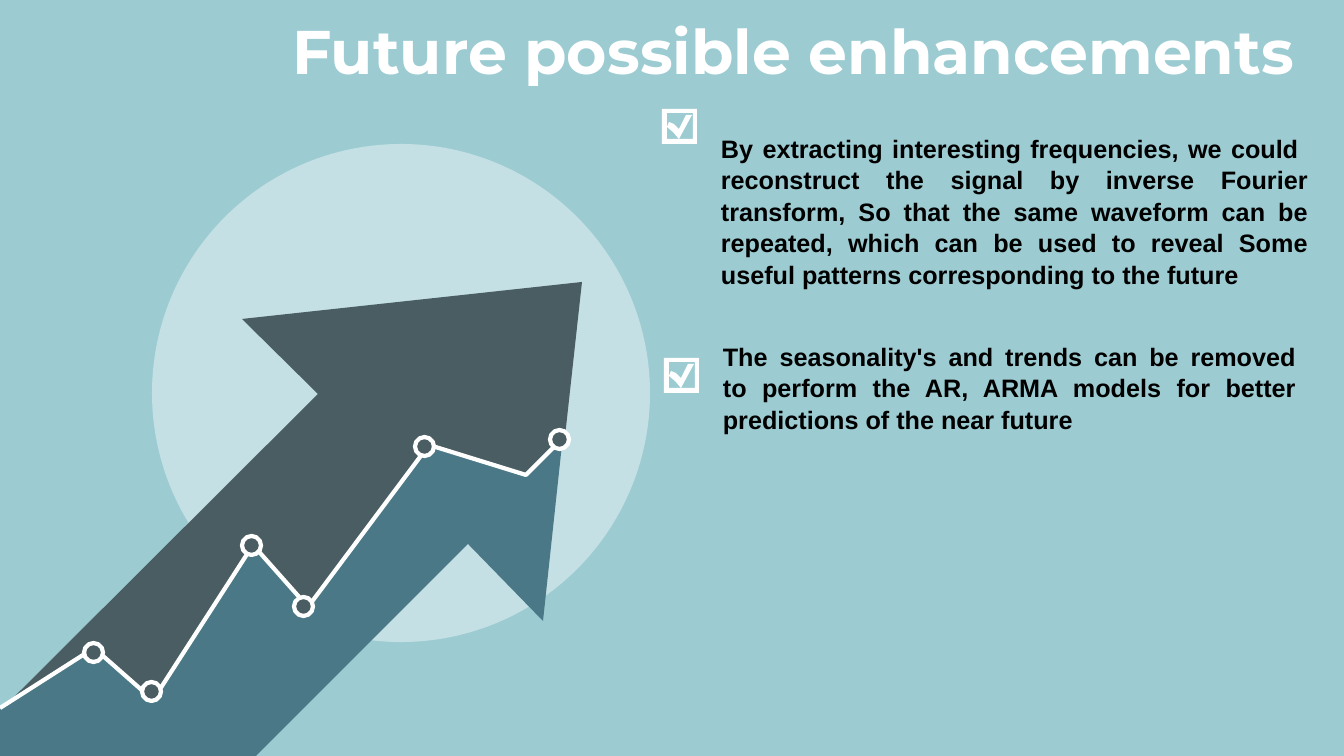
import pptx
import pptx.util
import pptx.dml.color
import pptx.enum.shapes
import pptx.enum.text

RGBColor = pptx.dml.color.RGBColor
ALIGN = pptx.enum.text.PP_ALIGN
ANCHOR = pptx.enum.text.MSO_ANCHOR
WHITE = RGBColor(0xFF, 0xFF, 0xFF)
BLACK = RGBColor(0x00, 0x00, 0x00)
AQUA = RGBColor(0x9C, 0xCC, 0xD2)
PALE_AQUA = RGBColor(0xC4, 0xE0, 0xE4)
SLATE = RGBColor(0x4A, 0x5D, 0x62)
TEAL = RGBColor(0x4A, 0x78, 0x86)

SLIDE_WIDTH, SLIDE_HEIGHT = 1344, 756
SCALE = 12192000 / SLIDE_WIDTH
MARKER_SIZE = 19
CHECK_SIZE = 35

TITLE_FONT = {"name": "Montserrat", "size": pptx.util.Pt(44), "bold": True}
BODY_FONT = {"name": "Arial", "size": pptx.util.Pt(18), "bold": True}

ARROW_UPPER = [(154, 702), (254, 547), (308, 609), (430, 447), (527, 477), (565, 437),
               (582, 282), (242, 319), (318, 394), (7, 704), (94, 650)]
ARROW_LOWER = [(563, 435), (543, 621), (468, 544), (256, 756), (0, 756), (0, 708), (6, 702),
               (92, 648), (152, 700), (252, 545), (306, 607), (428, 445), (525, 475)]
TREND = [(0, 708), (94, 648), (153, 700), (253, 545), (308, 607), (429, 445), (526, 475),
         (563, 438)]
MARKERS = [(84, 643), (142, 682), (242, 536), (550, 430), (415, 437), (294, 597)]
CHECK = [
    [(0, 0), (35, 0), (35, 35), (0, 35)],
    [(5, 4), (5, 30), (31, 30), (31, 4)],
    [(5, 18), (7, 13), (12, 15), (17, 20), (24, 6), (30, 6), (17, 30), (11, 23)],
]
POINTS = [
    ((711, 129, 607, 163), ANCHOR.MIDDLE, (662, 109),
     "By extracting interesting frequencies, we could  reconstruct the signal by inverse "
     "Fourier transform, So that the same waveform can be repeated, which can be used to "
     "reveal Some useful patterns corresponding to the future"),
    ((713, 335, 593, 132), ANCHOR.TOP, (664, 358),
     "The seasonality's and trends can be removed to perform the AR, ARMA models for better "
     "predictions of the near future"),
]


def px(length):
    return pptx.util.Emu(round(length * SCALE))


def paint(shape, fill=None, line=None):
    shape.shadow.inherit = False
    if fill is None:
        shape.fill.background()
    else:
        shape.fill.solid()
        shape.fill.fore_color.rgb = fill
    if line is None:
        shape.line.fill.background()
    else:
        shape.line.color.rgb = line
        shape.line.width = pptx.util.Pt(3)


def add_circle(slide, left, top, size, fill, line=None):
    circle = slide.shapes.add_shape(
        pptx.enum.shapes.MSO_SHAPE.OVAL, px(left), px(top), px(size), px(size))
    paint(circle, fill, line)


def add_outline(slide, contours, fill=None, line=None, close=True):
    builder = slide.shapes.build_freeform(*contours[0][0], scale=SCALE)
    builder.add_line_segments(contours[0][1:], close=close)
    for contour in contours[1:]:
        builder.move_to(*contour[0])
        builder.add_line_segments(contour[1:], close=close)
    paint(builder.convert_to_shape(), fill, line)


def add_check(slide, left, top):
    contours = [[(left + x, top + y) for x, y in contour] for contour in CHECK]
    add_outline(slide, contours, WHITE)


def write(shape, text, font, color, alignment, anchor, line_spacing=1.0):
    frame = shape.text_frame
    frame.word_wrap = True
    frame.auto_size = pptx.enum.text.MSO_AUTO_SIZE.NONE
    frame.vertical_anchor = anchor
    frame.text = text
    paragraph = frame.paragraphs[0]
    paragraph.alignment = alignment
    paragraph.line_spacing = line_spacing
    for name, value in font.items():
        setattr(paragraph.runs[0].font, name, value)
    paragraph.runs[0].font.color.rgb = color


def set_title(slide, text):
    title = slide.shapes.title
    place = {"left": 35, "top": 5, "width": 1270, "height": 90}
    for name, value in place.items():
        setattr(title, name, px(value))
    write(title, text, TITLE_FONT, WHITE, ALIGN.RIGHT, ANCHOR.MIDDLE)


def add_point(slide, box, anchor, check, text):
    text_box = slide.shapes.add_textbox(*map(px, box))
    write(text_box, text, BODY_FONT, BLACK, ALIGN.JUSTIFY, anchor, 1.04)
    add_check(slide, *check)


def main():
    presentation = pptx.Presentation()
    presentation.slide_width = px(SLIDE_WIDTH)
    presentation.slide_height = px(SLIDE_HEIGHT)
    slide = presentation.slides.add_slide(presentation.slide_layouts[5])
    slide.background.fill.solid()
    slide.background.fill.fore_color.rgb = AQUA

    set_title(slide, "Future possible enhancements")
    add_circle(slide, 152, 144, 498, PALE_AQUA)
    add_outline(slide, [ARROW_UPPER], SLATE)
    add_outline(slide, [ARROW_LOWER], TEAL)
    add_outline(slide, [TREND], line=WHITE, close=False)
    for left, top in MARKERS:
        add_circle(slide, left, top, MARKER_SIZE, SLATE, WHITE)
    for point in POINTS:
        add_point(slide, *point)

    presentation.save("out.pptx")


if __name__ == "__main__":
    main()
